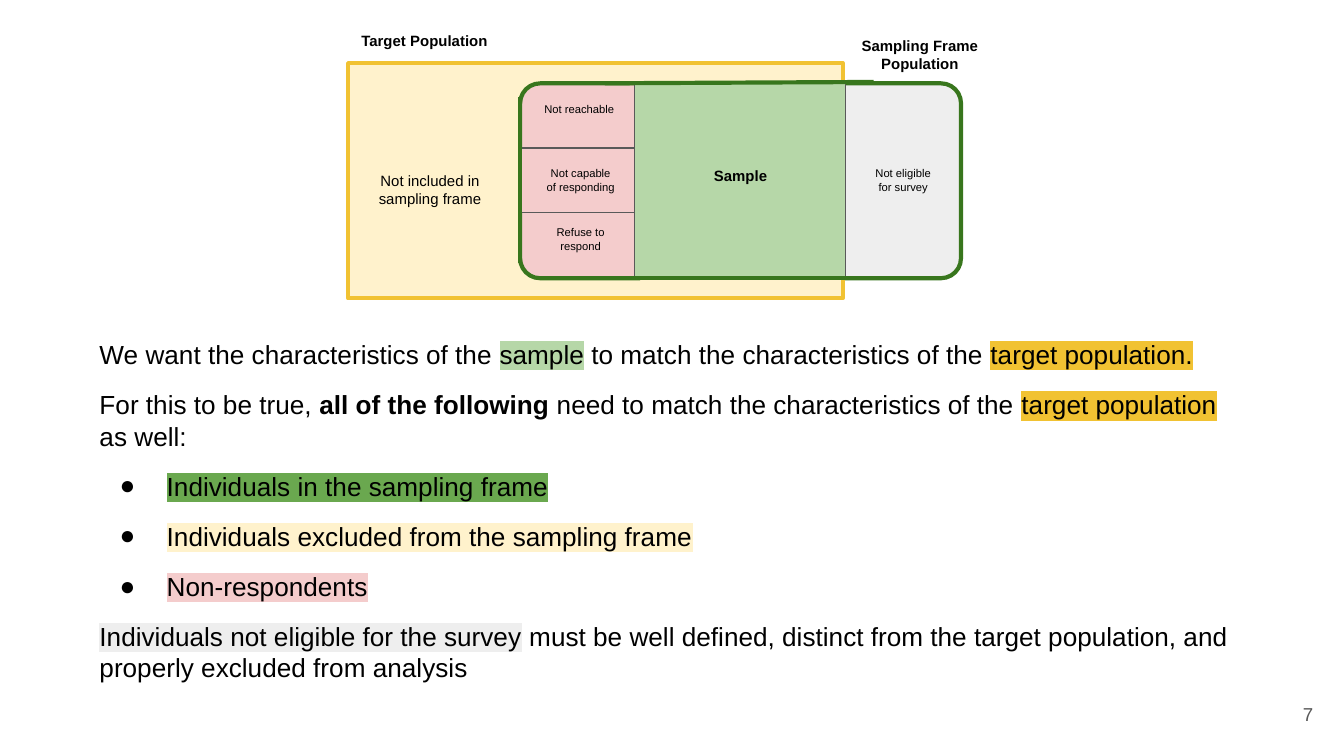
from lxml import etree
from pptx import Presentation
from pptx.dml.color import RGBColor
from pptx.enum.shapes import MSO_CONNECTOR, MSO_SHAPE
from pptx.enum.text import MSO_ANCHOR, MSO_AUTO_SIZE, PP_ALIGN
from pptx.oxml.ns import qn
from pptx.util import Inches, Pt

RECT = MSO_SHAPE.RECTANGLE
ROUND = MSO_SHAPE.ROUND_2_SAME_RECTANGLE
STRAIGHT = MSO_CONNECTOR.STRAIGHT
LEFT, CENTER, RIGHT = PP_ALIGN.LEFT, PP_ALIGN.CENTER, PP_ALIGN.RIGHT
TOP, MIDDLE = MSO_ANCHOR.TOP, MSO_ANCHOR.MIDDLE
GROW, FIXED = MSO_AUTO_SIZE.SHAPE_TO_FIT_TEXT, MSO_AUTO_SIZE.NONE

BLACK, GRAY, PALE_GRAY = "000000", "595959", "EEEEEE"
YELLOW, CREAM, PINK = "F1C232", "FFF2CC", "F4CCCC"
DARK_GREEN, GREEN, PALE_GREEN = "38761D", "6AA84F", "B6D7A8"


def rgb(value):
    return RGBColor.from_string(value)


def apply(obj, values):
    for name, value in values.items():
        setattr(obj, name, value)


class SlideBuilder:
    font = "Arial"
    inset = Inches(0.1)

    def __init__(self, slide):
        self.slide = slide
        self.shapes = slide.shapes

    def place(self, sp, at):
        apply(sp, dict(zip(("left", "top", "width", "height"), map(Inches, at))))

    def frame(self, sp, anchor=TOP, auto_size=GROW):
        tf = sp.text_frame
        apply(tf, {"word_wrap": True, "auto_size": auto_size, "vertical_anchor": anchor,
                   "margin_left": self.inset, "margin_right": self.inset,
                   "margin_top": self.inset, "margin_bottom": self.inset})
        return tf

    def run(self, p, text, size, color=BLACK, bold=False, highlight=None):
        r = p.add_run()
        r.text = text
        apply(r.font, {"size": Pt(size), "name": self.font, "bold": bold})
        r.font.color.rgb = rgb(color)
        if highlight:
            hl = etree.Element(qn("a:highlight"))
            etree.SubElement(hl, qn("a:srgbClr"), val=highlight)
            r.font._element.find(qn("a:solidFill")).addnext(hl)

    def text(self, at, text, size, bold=False, align=CENTER, color=BLACK,
             anchor=TOP, auto_size=GROW):
        sp = self.shapes.add_textbox(*map(Inches, at))
        p = self.frame(sp, anchor, auto_size).paragraphs[0]
        p.alignment = align
        self.run(p, text, size, color, bold)

    def shape(self, kind, at, fill, line, width, rotation=0):
        sp = self.shapes.add_shape(kind, *map(Inches, at))
        sp.rotation = rotation
        sp.shadow.inherit = False
        sp.fill.solid()
        sp.fill.fore_color.rgb = rgb(fill)
        sp.line.color.rgb = rgb(line)
        sp.line.width = Pt(width)

    def line(self, start, end, color, width):
        sp = self.shapes.add_connector(STRAIGHT, *map(Inches, start + end))
        sp.line.color.rgb = rgb(color)
        sp.line.width = Pt(width)
        etree.SubElement(sp._element.spPr, qn("a:effectLst"))

    def bullet(self, p, on):
        pPr = p._p.get_or_add_pPr()
        pPr.set("marL", str(Inches(0.5 if on else 0)))
        pPr.set("indent", str(Inches(-0.35 if on else 0)))
        if on:
            color = etree.SubElement(pPr, qn("a:buClr"))
            etree.SubElement(color, qn("a:srgbClr"), val=BLACK)
            etree.SubElement(pPr, qn("a:buFont"), typeface=self.font)
            etree.SubElement(pPr, qn("a:buChar"), char="●")
        else:
            etree.SubElement(pPr, qn("a:buNone"))

    def body(self, at, paragraphs, size):
        sp = self.slide.placeholders[1]
        self.place(sp, at)
        tf = self.frame(sp)
        for i, (bulleted, runs) in enumerate(paragraphs):
            p = tf.add_paragraph() if i else tf.paragraphs[0]
            last = i == len(paragraphs) - 1
            apply(p, {"alignment": LEFT, "line_spacing": 1.0,
                      "space_before": Pt(10 if i else 0),
                      "space_after": Pt(10 if last else 0)})
            self.bullet(p, bulleted)
            for text, style in runs:
                self.run(p, text, size, **style)


def mark(color):
    return {"highlight": color}


BODY = [
    (False, [("We want the characteristics of the ", {}), ("sample", mark(PALE_GREEN)),
             (" to match the characteristics of the ", {}),
             ("target population.", mark(YELLOW))]),
    (False, [("For this to be true, ", {}), ("all of the following", {"bold": True}),
             (" need to match the characteristics of the ", {}),
             ("target population", mark(YELLOW)), (" as well:", {})]),
    (True, [("Individuals in the sampling frame", mark(GREEN))]),
    (True, [("Individuals excluded from the sampling frame", mark(CREAM))]),
    (True, [("Non-respondents", mark(PINK))]),
    (False, [("Individuals not eligible for the survey", mark(PALE_GRAY)),
             (" must be well defined, distinct from the target population, "
              "and properly excluded from analysis", {})]),
]


def main():
    prs = Presentation()
    prs.slide_width = Inches(10)
    prs.slide_height = prs.slide_width * 9 // 16
    s = prs.slides.add_slide(prs.slide_layouts[1])
    title = s.shapes.title._element
    title.getparent().remove(title)
    b = SlideBuilder(s)

    b.shape(ROUND, (5.98, 0.9, 1.45, 0.89), PALE_GRAY, DARK_GREEN, 2.25, 90)
    b.text((9.27, 5.1, 0.6, 0.43), "7", 10, align=RIGHT, color=GRAY,
           anchor=MIDDLE, auto_size=FIXED)
    b.shape(RECT, (2.59, 0.47, 3.68, 1.75), CREAM, YELLOW, 2.25)
    b.text((2.59, 0.17, 1.3, 0.34), "Target Population", 8, bold=True, align=LEFT)
    b.text((6.28, 0.17, 1.13, 0.47), "Sampling Frame Population", 8, bold=True)
    b.text((2.71, 1.18, 0.98, 0.47), "Not included in sampling frame", 8)
    b.body((0.64, 2.42, 8.72, 2.79), BODY, 14)

    b.shape(ROUND, (3.59, 0.9, 1.45, 0.89), PINK, DARK_GREEN, 2.25, 270)
    b.shape(RECT, (3.87, 1.1, 0.89, 0.48), PINK, GRAY, 0.75)
    for at, label in [((3.9, 0.71, 0.82, 0.3), "Not reachable"),
                      ((3.96, 1.14, 0.72, 0.4), "Not capable of responding"),
                      ((3.96, 1.58, 0.72, 0.4), "Refuse to respond"),
                      ((6.36, 1.14, 0.72, 0.4), "Not eligible for survey")]:
        b.text(at, label, 6)
    b.shape(RECT, (4.72, 0.62, 1.57, 1.45), PALE_GREEN, GRAY, 0.75)
    b.text((5.02, 1.17, 0.98, 0.34), "Sample", 8, bold=True)

    for start, end in [((3.87, 0.72), (3.87, 1.96)),
                       ((4.68, 2.07), (6.57, 2.07)),
                       ((6.5, 0.61), (4.5, 0.62))]:
        b.line(start, end, DARK_GREEN, 2.25)

    prs.save("out.pptx")


if __name__ == "__main__":
    main()
